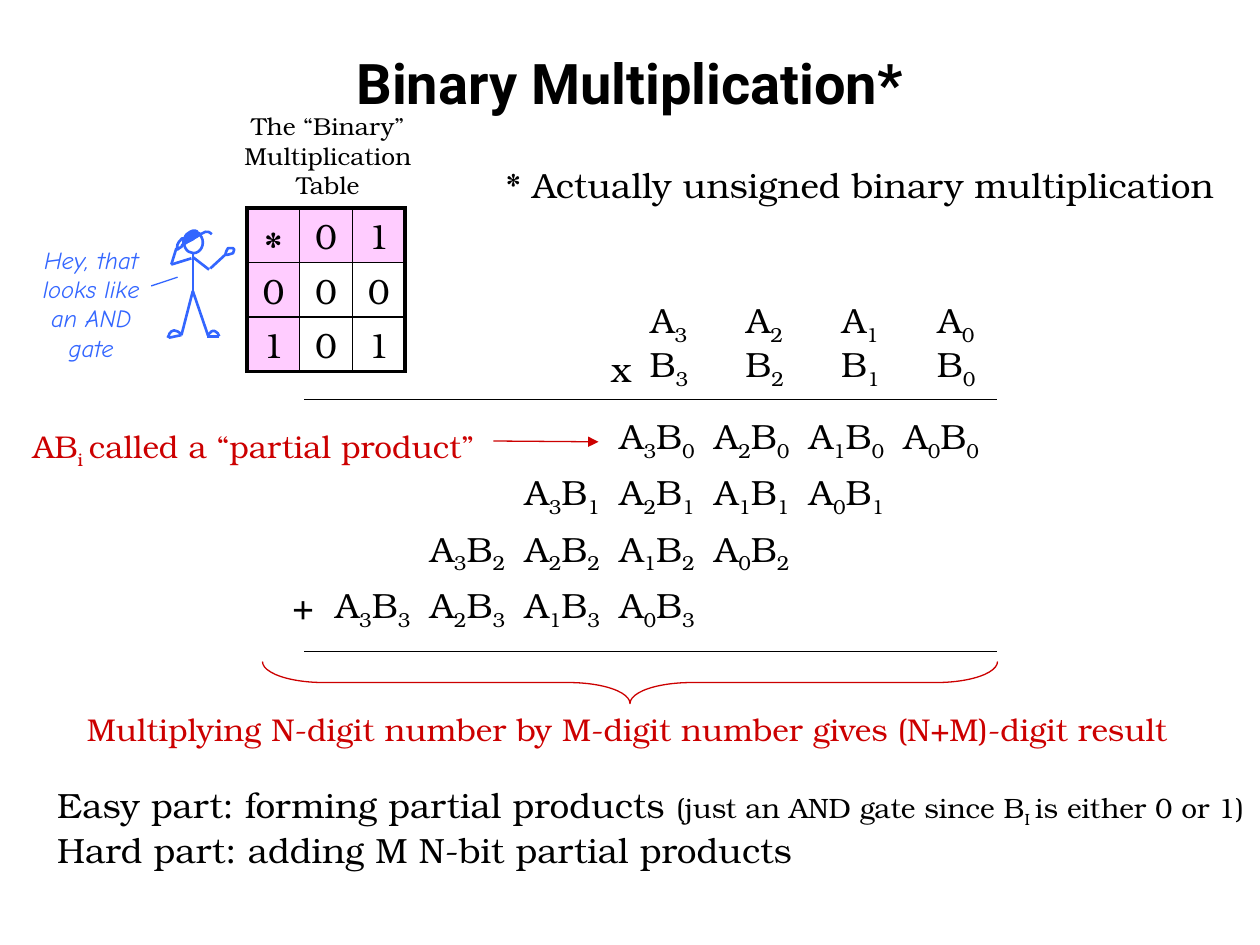
from itertools import product
from lxml.etree import SubElement
from pptx import Presentation
from pptx.dml.color import RGBColor
from pptx.enum.shapes import MSO_CONNECTOR, MSO_SHAPE
from pptx.enum.text import MSO_ANCHOR, MSO_AUTO_SIZE, PP_ALIGN
from pptx.oxml import parse_xml
from pptx.oxml.ns import nsdecls, qn
from pptx.util import Pt

BLACK, RED, BLUE, PINK, WHITE = "000000", "CC0000", "3366FF", "FFCCFF", "FFFFFF"
tint = RGBColor.from_string
SERIF = {"name": "TeX Gyre Bonum", "size": Pt(20)}
NOTE = {**SERIF, "size": Pt(18)}
SMALL = {**SERIF, "size": Pt(14)}
HEAD = {"name": "Roboto", "size": Pt(32), "bold": True}
HAND = {"name": "Comic Neue", "size": Pt(14), "italic": True}


def write(frame, body, style=SERIF, color=BLACK, align=PP_ALIGN.CENTER):
    """Fill a text frame; underscores switch between normal and subscript."""
    for row, line in enumerate(body.split("\n")):
        para = frame.paragraphs[0] if row == 0 else frame.add_paragraph()
        para.alignment = align
        for part, words in enumerate(line.split("_")):
            if not words:
                continue
            run = para.add_run()
            run.text = words
            for name, value in style.items():
                setattr(run.font, name, value)
            run.font.color.rgb = tint(color)
            if part % 2:
                run.font._element.set("baseline", "-25000")


def paint(item, color, width, fill=None):
    """Set line and fill of a shape or connector and remove its shadow."""
    item.line.color.rgb = tint(color)
    item.line.width = Pt(width)
    if fill:
        item.fill.solid()
        item.fill.fore_color.rgb = tint(fill)
    elif hasattr(item, "fill"):
        item.fill.background()
    SubElement(item._element.spPr, qn("a:effectLst"))


deck = Presentation()
deck.slide_width, deck.slide_height = Pt(720), Pt(540)
slide = deck.slides.add_slide(deck.slide_layouts[6])
shapes = slide.shapes

# Title
title = shapes.add_textbox(Pt(36), Pt(21.6), Pt(648), Pt(50.4)).text_frame
title.word_wrap = True
title.vertical_anchor = MSO_ANCHOR.MIDDLE
write(title, "Binary Multiplication*", HEAD)

# Labels: text, box, wrap, style, colour, alignment
mid, left = PP_ALIGN.CENTER, PP_ALIGN.LEFT
labels = [
    ("The “Binary” Multiplication Table", (128.7, 60, 117.4, 58.3), True, SMALL, BLACK, mid),
    ("Hey, that looks like an AND gate", (12.2, 136.2, 80, 75), True, HAND, BLUE, mid),
    ("* Actually unsigned binary multiplication", (281.9, 90, 422, 31.7), False, SERIF, BLACK, left),
    ("x", (342, 195, 26, 31.7), False, SERIF, BLACK, mid),
    ("+", (160, 330.5, 26.6, 31.7), False, SERIF, BLACK, mid),
    ("AB_i _called a “partial product”", (7.7, 240.5, 274.3, 29), False, NOTE, RED, mid),
    ("Multiplying N-digit number by M-digit number gives (N+M)-digit result",
     (38, 402, 640.8, 29), False, NOTE, RED, mid),
    ("Easy part: forming partial products __(just an AND gate since B_I _is either 0 or 1)\n"
     "Hard part: adding M N-bit partial products", (25.6, 444.2, 700.6, 55.4), False, SERIF, BLACK, left),
]

# Operand digits and partial products, each column one digit to the left
for (name, top), place in product((("A", 167), ("B", 192.2)), range(4)):
    labels.append((f"{name}_{place}", (527.3 - 54.7 * place, top, 38.2, 31.7), False, SERIF, BLACK, mid))
for b, a in product(range(4), range(4)):
    box = (507.4 - 54.15 * (a + b), 233.3 + 32.2 * b, 61.2, 31.7)
    labels.append((f"A_{a}_B_{b}", box, False, SERIF, BLACK, mid))

for body, box, wrap, style, color, align in labels:
    frame = shapes.add_textbox(*map(Pt, box)).text_frame
    frame.word_wrap = wrap
    frame.auto_size = MSO_AUTO_SIZE.SHAPE_TO_FIT_TEXT
    write(frame, body, style, color, align)
    if body.startswith("Easy"):
        for run in frame.paragraphs[0].runs[1:]:
            run.font.size = Pt(16)

# Multiplication table
grid = shapes.add_table(3, 3, Pt(141.2), Pt(118.8), Pt(90.3), Pt(93.6)).table
grid.first_row = grid.horz_banding = False
for row in grid.rows:
    row.height = Pt(31.2)
for col in grid.columns:
    col.width = Pt(30.1)
for r, digits in enumerate(("∗01", "000", "101")):
    for c, digit in enumerate(digits):
        cell = grid.cell(r, c)
        look = {"margin_left": 0, "margin_right": 0, "margin_top": Pt(0.6),
                "margin_bottom": 0, "vertical_anchor": MSO_ANCHOR.MIDDLE}
        for name, value in look.items():
            setattr(cell, name, value)
        write(cell.text_frame, digit)
        cell.fill.solid()
        cell.fill.fore_color.rgb = tint(PINK if r == 0 or c == 0 else WHITE)
        edges = {"L": c == 0, "R": c == 2, "T": r == 0, "B": r == 2}
        for spot, (side, outer) in enumerate(edges.items()):
            width = Pt(2.25 if outer else 1)
            cell._tc.get_or_add_tcPr().insert(spot, parse_xml(
                f'<a:ln{side} {nsdecls("a")} w="{width}"><a:solidFill>'
                f'<a:srgbClr val="{BLACK}"/></a:solidFill></a:ln{side}>'))

# Rules, arrow and the straight strokes of the stick figure
lines = [
    (BLACK, 0.75, (174, 228.5, 570, 228.5)), (BLACK, 0.75, (174, 372.2, 570, 372.2)),
    (BLUE, 0.75, (86.4, 163.4, 101.5, 158.4)), (RED, 0.75, (282, 252, 342, 252.5)),
]
limbs = [
    (110.2, 144.7, 110.2, 166.3), (110.2, 166.3, 118.8, 191.5), (110.2, 166.3, 103.7, 191.5),
    (118.1, 192.2, 125.3, 192.2), (103.7, 191.5, 96.5, 193), (110.2, 146.9, 119.5, 154.1),
    (120.2, 153.4, 128.9, 145.4), (109.4, 147.6, 97.9, 151.2), (97.9, 151.2, 100.8, 141.8),
]
for color, width, ends in lines + [(BLUE, 1.5, limb) for limb in limbs]:
    stroke = shapes.add_connector(MSO_CONNECTOR.STRAIGHT, *map(Pt, ends))
    paint(stroke, color, width)
    if color == RED:
        SubElement(stroke.line._get_or_add_ln(), qn("a:tailEnd"), type="triangle")

brace = shapes.add_shape(MSO_SHAPE.LEFT_BRACE, Pt(348), Pt(180), Pt(24), Pt(420))
brace.rotation = 270
brace.adjustments[0] = 1.458
paint(brace, RED, 0.75)

face = shapes.add_shape(MSO_SHAPE.OVAL, Pt(105.1), Pt(132.5), Pt(10.8), Pt(12.2))
paint(face, BLUE, 1.5)

# Curved strokes: a start point, then three points for each Bezier piece
curves = {
    "right shoe": [(125.3, 192.2), (124.6, 190.8), (124.6, 190.1), (123.1, 189.4), (122.4, 188.6),
                   (120.2, 189.4), (120.2, 190.1), (119.5, 190.1), (118.8, 191.5), (118.8, 192.2)],
    "left shoe": [(95.8, 193), (97.2, 190.8), (96.5, 190.1), (97.9, 189.4), (98.6, 188.6),
                  (100.1, 188.6), (101.5, 189.4), (102.2, 189.4), (103, 190.8), (103.7, 191.5)],
    "right hand": [(128.9, 145.4), (128.9, 144.7), (129.6, 142.6), (130.3, 141.8), (131, 141.8),
                   (132.5, 141.8), (133.2, 141.8), (133.2, 141.8), (133.9, 141.8), (133.9, 142.6),
                   (133.9, 143.3), (133.9, 144), (133.2, 144.7), (132.5, 145.4), (131.8, 145.4),
                   (131, 145.4), (130.3, 145.4), (128.9, 146.2), (128.9, 145.4)],
    "left hand": [(101.5, 142.6), (101.5, 142.6), (103, 141.1), (103.7, 141.1), (103.7, 140.4),
                  (104.4, 139.7), (105.1, 139), (105.1, 138.2), (105.1, 137.5), (105.1, 136.8),
                  (105.1, 136.8), (105.1, 136.1), (104.4, 136.1), (104.4, 136.1), (103, 136.8),
                  (103, 137.5), (102.2, 137.5), (102.2, 139), (101.5, 139.7), (101.5, 140.4),
                  (100.8, 141.8), (101.5, 142.6)],
    "brim": [(105.1, 139.7), (108, 137.5), (110.2, 136.1), (112.3, 135.4), (114.5, 133.9),
             (115.9, 133.2), (117.4, 132.5), (118.8, 132.5), (120.2, 132.5), (120.2, 133.2),
             (121, 133.2), (121, 133.9), (121, 133.9)],
    "cap": [(105.1, 139), (104.4, 139), (105.1, 136.1), (105.8, 135.4), (105.8, 134.6),
            (107.3, 133.2), (108.7, 132.5), (109.4, 131.8), (110.9, 131.8), (111.6, 131.8),
            (112.3, 131.8), (113, 132.5), (113, 133.2), (113.8, 133.2), (114.5, 133.2),
            (113.8, 133.9), (113, 134.6), (111.6, 135.4), (110.2, 136.8), (108.7, 137.5),
            (105.8, 139), (105.1, 139)],
}
for name, knots in curves.items():
    pen = shapes.build_freeform(*map(Pt, knots[0]))
    dots = [tuple(map(Pt, knot)) for knot in knots[1:]]
    pen.add_line_segments(dots, close=knots[0] == knots[-1])
    curve = pen.convert_to_shape()
    steps = list(curve._element.iter(qn("a:lnTo")))
    for k in range(0, len(steps), 3):
        bend = parse_xml(f'<a:cubicBezTo {nsdecls("a")}/>')
        steps[k].addprevious(bend)
        for step in steps[k:k + 3]:
            bend.append(step[0])
            step.getparent().remove(step)
    paint(curve, BLUE, 1.5, BLUE if name == "cap" else None)

deck.save("out.pptx")
